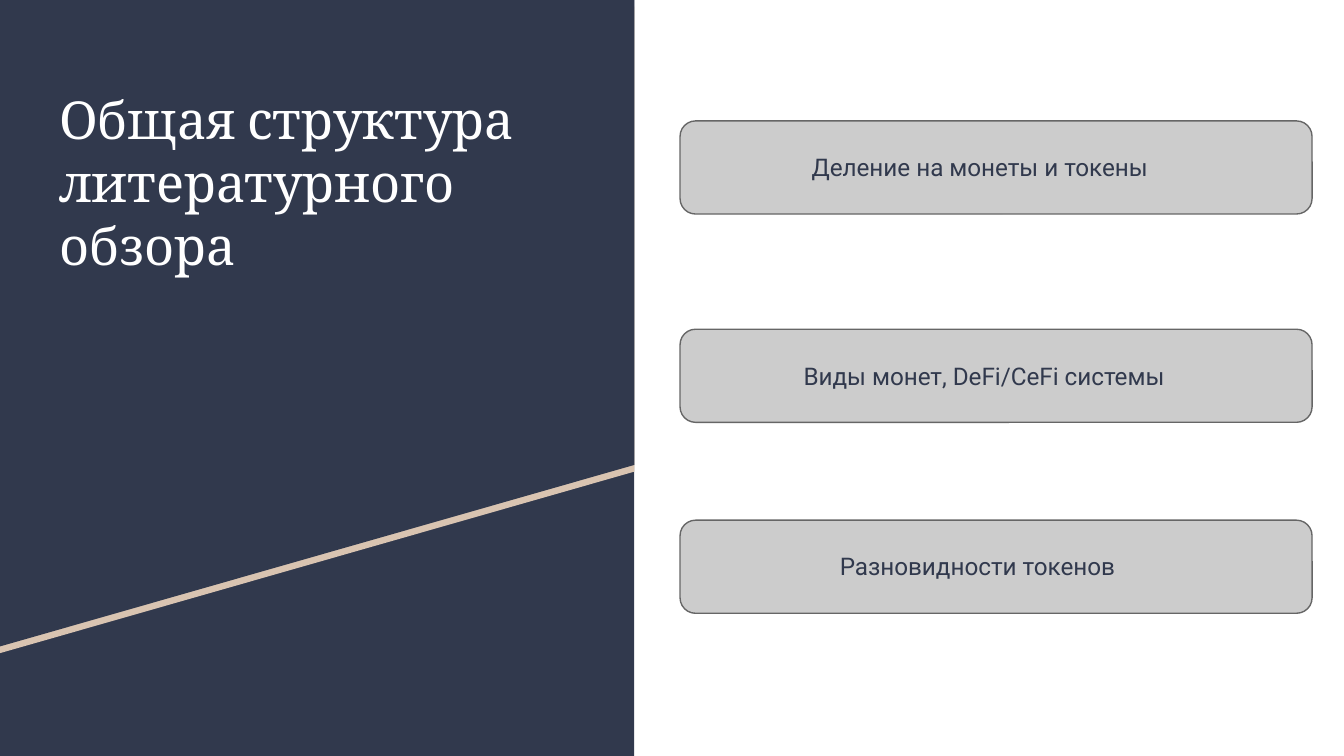
import pptx
import pptx.util
import pptx.dml.color
import pptx.enum.shapes
import pptx.enum.text

Pt = pptx.util.Pt
SHAPE = pptx.enum.shapes.MSO_SHAPE
TEXT = pptx.enum.text

# Content: card top, then label text and its box (left, top, width, height)
TITLE = "Общая структура литературного обзора"
CARDS = [
    (64.8, "Деление на монеты и токены", (427.7, 74.2, 229, 30.2)),
    (176.4, "Виды монет, DeFi/CeFi системы", (423.4, 186.5, 219.6, 36)),
    (278.7, "Разновидности токенов", (442.8, 288, 181.4, 30.2)),
]

# Theme and layout
THEME = {
    "navy": "31394D", "sand": "D9C4B1", "white": "FFFFFF",
    "card": "CCCCCC", "card_line": "666666",
    "title": ("Cambria", 28), "label": ("Roboto", 13),
}
SLIDE_W, SLIDE_H = 720, 405
PANEL_W = 339.8
SLOPE_LEFT, SLOPE_RIGHT = 346.3, 249.1
STRIPE_H = 3.6
CARD_LEFT, CARD_W, CARD_H = 364.3, 338.6, 49.9


def color(name):
    return pptx.dml.color.RGBColor.from_string(THEME[name])


def paint(sp, fill, line=None):
    sp.shadow.inherit = False
    sp.fill.solid()
    sp.fill.fore_color.rgb = color(fill)
    if line:
        sp.line.color.rgb = color(line)
        sp.line.width = Pt(0.75)
    else:
        sp.line.fill.background()


def add_box(s, kind, box, fill, line=None):
    sp = s.shapes.add_shape(kind, *map(Pt, box))
    paint(sp, fill, line)


def add_slope(s, drop, fill):
    """Panel area above the diagonal, moved down by drop."""
    corners = [(0, drop), (PANEL_W, drop),
               (PANEL_W, SLOPE_RIGHT + drop), (0, SLOPE_LEFT + drop)]
    points = [(Pt(x), Pt(y)) for x, y in corners]
    builder = s.shapes.build_freeform(*points[0])
    builder.add_line_segments(points[1:], close=True)
    paint(builder.convert_to_shape(), fill)


def write(sp, box, text, style, ink):
    for name, value in zip(("left", "top", "width", "height"), box):
        setattr(sp, name, Pt(value))
    tf = sp.text_frame
    frame = {"word_wrap": True, "auto_size": TEXT.MSO_AUTO_SIZE.NONE,
             "vertical_anchor": TEXT.MSO_ANCHOR.TOP}
    frame.update({f"margin_{side}": Pt(7.2)
                  for side in ("left", "top", "right", "bottom")})
    for name, value in frame.items():
        setattr(tf, name, value)
    p = tf.paragraphs[0]
    p.alignment = TEXT.PP_ALIGN.LEFT
    r = p.add_run()
    r.text = text
    font, size = THEME[style]
    for name, value in {"name": font, "size": Pt(size)}.items():
        setattr(r.font, name, value)
    r.font.color.rgb = color(ink)


def main():
    prs = pptx.Presentation()
    prs.slide_width, prs.slide_height = Pt(SLIDE_W), Pt(SLIDE_H)
    s = prs.slides.add_slide(prs.slide_layouts[5])
    s.background.fill.solid()
    s.background.fill.fore_color.rgb = color("white")

    # Dark panel with a diagonal stripe
    add_box(s, SHAPE.RECTANGLE, (0, 0, PANEL_W, SLIDE_H), "navy")
    add_slope(s, STRIPE_H, "sand")
    add_slope(s, 0, "navy")

    # Title, brought in front of the panel
    title = s.shapes.title
    s.shapes._spTree.append(title._element)
    write(title, (24.5, 39.6, 291.6, 197.3), TITLE, "title", "white")

    # Cards and their labels
    for top, text, box in CARDS:
        add_box(s, SHAPE.ROUNDED_RECTANGLE, (CARD_LEFT, top, CARD_W, CARD_H),
                "card", "card_line")
        write(s.shapes.add_textbox(0, 0, 0, 0), box, text, "label", "navy")

    prs.save("out.pptx")


if __name__ == "__main__":
    main()
